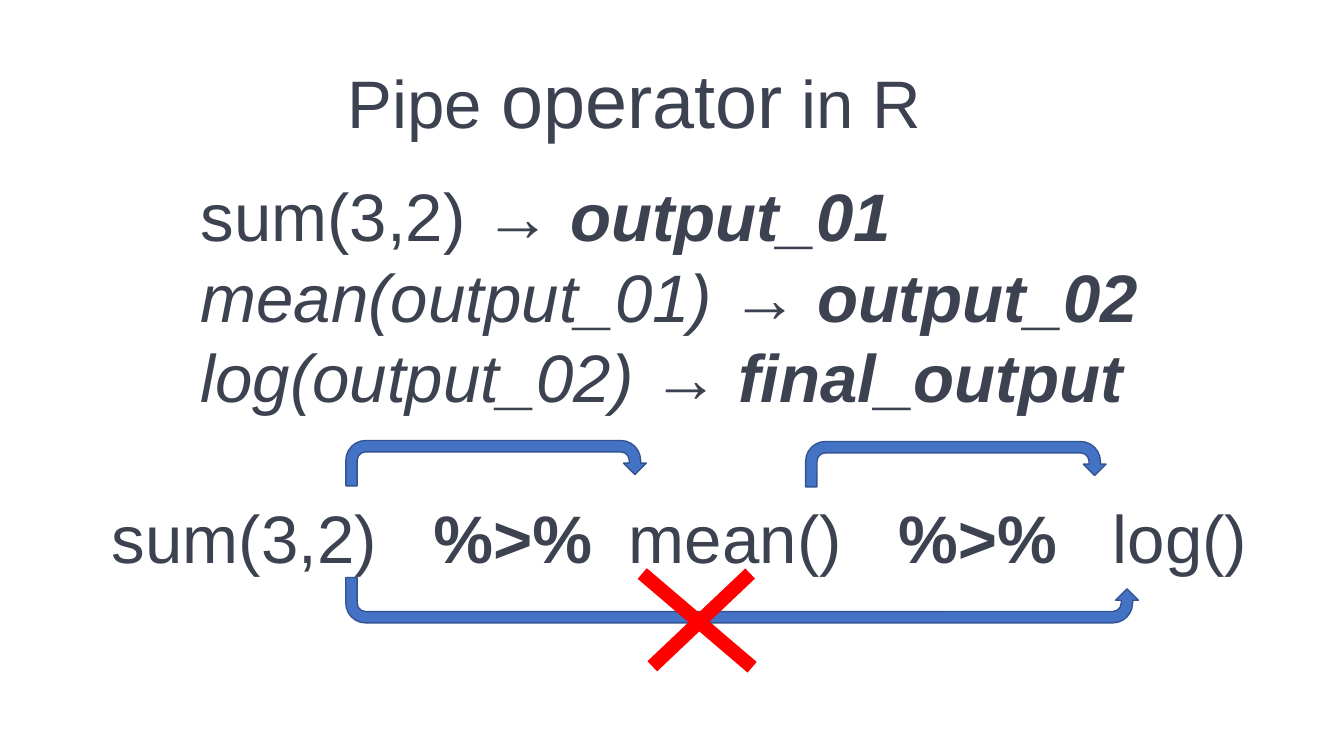
import pptx
import pptx.util
import pptx.dml.color
import pptx.enum.shapes
import pptx.enum.text
import pptx.oxml.ns
import lxml.etree
from dataclasses import dataclass

Inches, Pt = pptx.util.Inches, pptx.util.Pt
RGB = pptx.dml.color.RGBColor.from_string
qn = pptx.oxml.ns.qn


@dataclass(frozen=True)
class Theme:
    font: str = "Arial"
    text: str = "3D4251"
    arrow: str = "4472C4"
    arrow_line: str = "325491"
    cross: str = "FF0000"
    body: int = 48
    large: int = 54
    arrow_width: int = 1
    cross_width: int = 10


THEME = Theme()

# Content: each paragraph is a list of (text, font format) runs
BOLD, ITALIC = {"bold": True}, {"italic": True}
RESULT = {**BOLD, **ITALIC}
TITLE = [[("Pipe ", {}), ("operator", {"size": Pt(THEME.large)}), (" in R", {})]]
STEPS = [
    [("sum(3,2) → ", {}), ("output_01", RESULT)],
    [("mean(output_01)", ITALIC), (" → ", {}), ("output_02", RESULT)],
    [("log(output_02)", ITALIC), (" → ", {}), ("final_output", RESULT)],
]
PIPELINE = [[("sum(3,2)\t", {}), ("%>%\t", BOLD), ("mean()\t", {}), ("%>%\t", BOLD), ("log()", {})]]
PIPELINE_TABS = [3.19, 5.13, 7.8, 9.93]

# Boxes: left, top, width, height
TITLE_BOX = (3.35, 0.42, 6.13, 1.01)
STEPS_BOX = (1.89, 1.63, 9.59, 2.52)
PIPELINE_BOX = (1.01, 4.82, 11.58, 1.31)

# Arrows: left, top, width, flipped
ARROW_HEIGHT = 0.45
ARROWS = [(3.43, 4.37, 2.98, False), (7.99, 4.38, 2.98, False), (3.43, 5.73, 7.86, True)]

# Cross strokes: from x, from y, to x, to y
CROSS = [(6.37, 5.69, 7.46, 6.62), (7.44, 5.69, 6.47, 6.61)]


def inches(values):
    return [Inches(v) for v in values]


def set_attrs(target, values):
    for name, value in values.items():
        setattr(target, name, value)


def write(sp, box, paragraphs, tabs=()):
    set_attrs(sp, dict(zip(("left", "top", "width", "height"), inches(box))))
    tf = sp.text_frame
    set_attrs(tf, {
        "word_wrap": True,
        "auto_size": pptx.enum.text.MSO_AUTO_SIZE.NONE,
        "vertical_anchor": pptx.enum.text.MSO_ANCHOR.TOP,
        "margin_top": Inches(0.1),
    })
    for i, runs in enumerate(paragraphs):
        p = tf.paragraphs[0] if i == 0 else tf.add_paragraph()
        p.alignment = pptx.enum.text.PP_ALIGN.LEFT
        if tabs:
            tab_list = lxml.etree.SubElement(p._p.get_or_add_pPr(), qn("a:tabLst"))
            for pos in tabs:
                lxml.etree.SubElement(tab_list, qn("a:tab"), pos=str(Inches(pos)), algn="l")
        for text, fmt in runs:
            r = p.add_run()
            r.text = text
            set_attrs(r.font, {"name": THEME.font, "size": Pt(THEME.body), **fmt})
            r.font.color.rgb = RGB(THEME.text)


def add_arrow(slide, left, top, width, flipped):
    sp = slide.shapes.add_shape(pptx.enum.shapes.MSO_SHAPE.U_TURN_ARROW,
                                *inches((left, top, width, ARROW_HEIGHT)))
    sp.shadow.inherit = False
    sp.fill.solid()
    sp.fill.fore_color.rgb = RGB(THEME.arrow)
    sp.line.color.rgb = RGB(THEME.arrow_line)
    sp.line.width = Pt(THEME.arrow_width)
    if flipped:
        sp._element.spPr.get_or_add_xfrm().set("flipV", "1")


def add_stroke(slide, ends):
    line = slide.shapes.add_connector(pptx.enum.shapes.MSO_CONNECTOR.STRAIGHT, *inches(ends))
    line.line.color.rgb = RGB(THEME.cross)
    line.line.width = Pt(THEME.cross_width)
    lxml.etree.SubElement(line._element.spPr, qn("a:effectLst"))


def main():
    prs = pptx.Presentation()
    prs.slide_width, prs.slide_height = inches((13.33, 7.5))
    slide = prs.slides.add_slide(prs.slide_layouts[5])

    # Title and text
    write(slide.shapes.title, TITLE_BOX, TITLE)
    write(slide.shapes.add_textbox(0, 0, 0, 0), STEPS_BOX, STEPS)
    write(slide.shapes.add_textbox(0, 0, 0, 0), PIPELINE_BOX, PIPELINE, PIPELINE_TABS)

    # Arrows between the functions
    for arrow in ARROWS:
        add_arrow(slide, *arrow)

    # Cross over the skipped step
    for ends in CROSS:
        add_stroke(slide, ends)

    prs.save("out.pptx")


if __name__ == "__main__":
    main()
